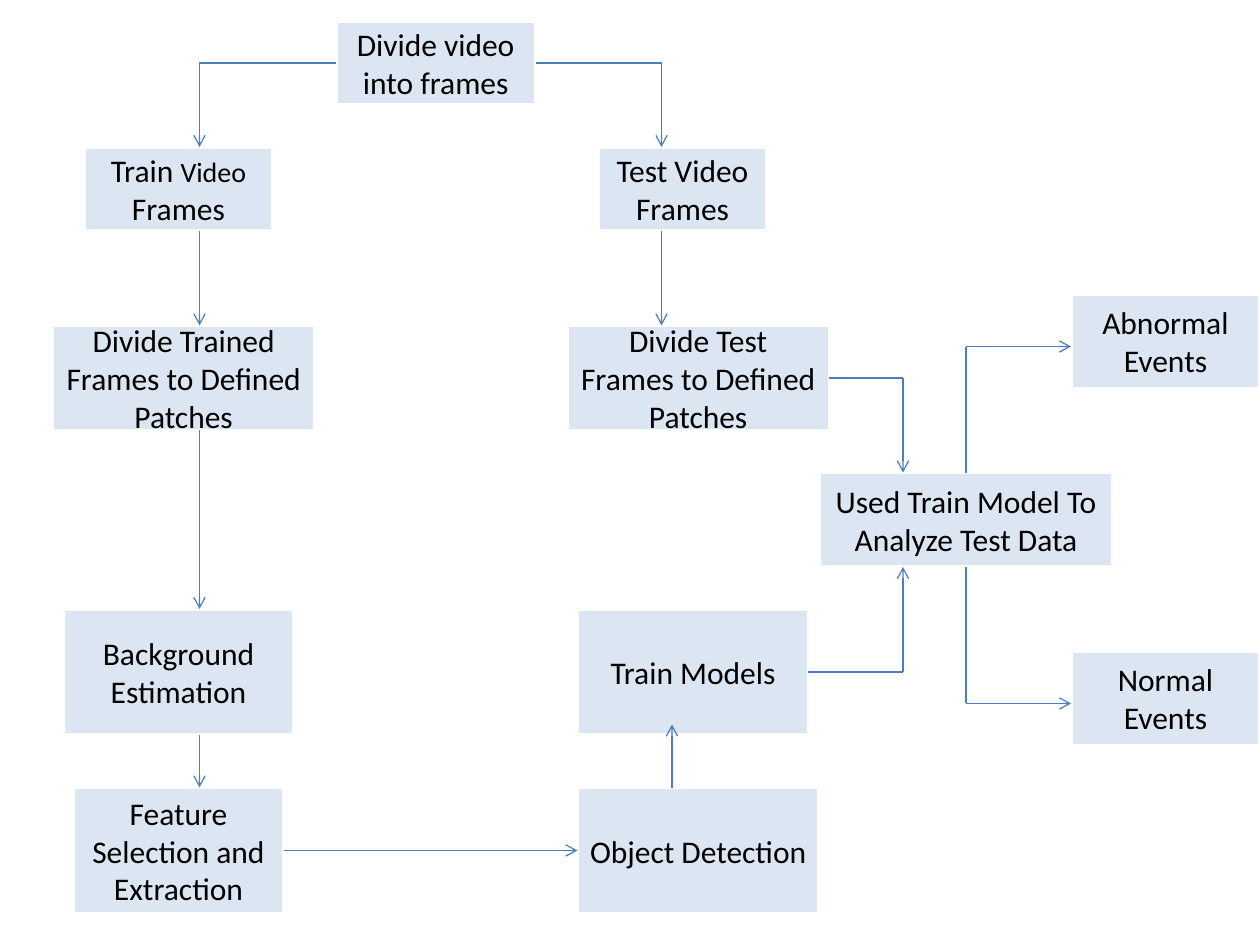
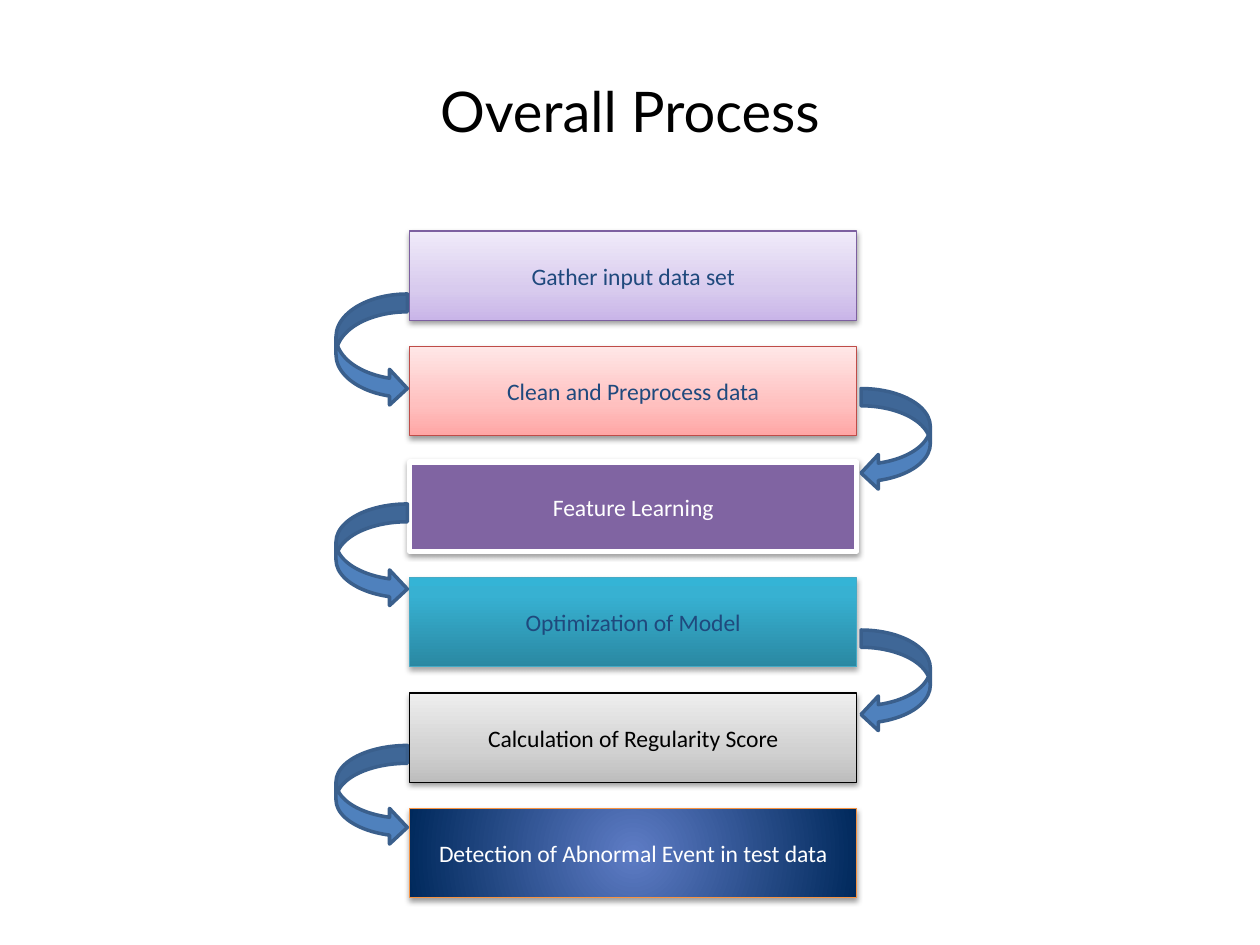
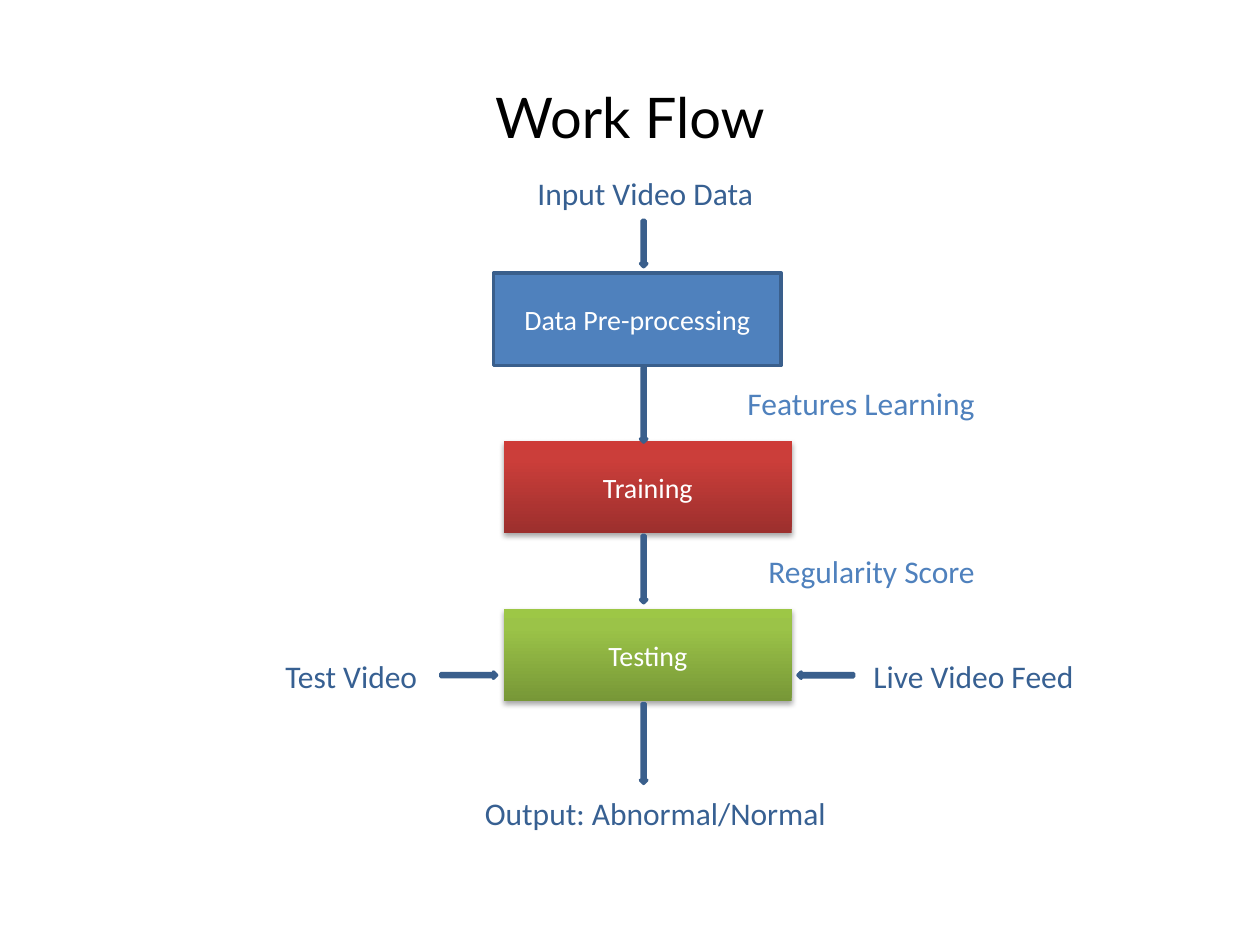
from lxml import etree
from pptx import Presentation
from pptx.dml.color import RGBColor
from pptx.enum.shapes import MSO_CONNECTOR, MSO_SHAPE
from pptx.enum.text import MSO_ANCHOR, MSO_AUTO_SIZE, PP_ALIGN
from pptx.oxml.ns import qn
from pptx.util import Inches, Pt

RECTANGLE = MSO_SHAPE.RECTANGLE
CURVED_LEFT = MSO_SHAPE.CURVED_LEFT_ARROW
CURVED_RIGHT = MSO_SHAPE.CURVED_RIGHT_ARROW
DOWN_ARROW = MSO_SHAPE.DOWN_ARROW
RIGHT_ARROW = MSO_SHAPE.RIGHT_ARROW
STRAIGHT = MSO_CONNECTOR.STRAIGHT
MIDDLE = MSO_ANCHOR.MIDDLE
GROW = MSO_AUTO_SIZE.SHAPE_TO_FIT_TEXT
LEFT, CENTER = PP_ALIGN.LEFT, PP_ALIGN.CENTER

BLACK = RGBColor(0x00, 0x00, 0x00)
WHITE = RGBColor(0xFF, 0xFF, 0xFF)
PALE_BLUE = RGBColor(0xDC, 0xE6, 0xF2)
LINE_BLUE = RGBColor(0x4B, 0x7E, 0xBC)
BLUE = RGBColor(0x4F, 0x81, 0xBD)
EDGE_BLUE = RGBColor(0x3A, 0x5F, 0x8C)
LABEL_BLUE = RGBColor(0x37, 0x60, 0x92)
NAVY = RGBColor(0x1F, 0x49, 0x7D)
PURPLE = RGBColor(0x80, 0x64, 0xA2)
PURPLE_EDGE = RGBColor(0x7D, 0x60, 0xA0)
RED_EDGE = RGBColor(0xBF, 0x4C, 0x48)
TEAL_EDGE = RGBColor(0x46, 0xAA, 0xC5)
ORANGE_EDGE = RGBColor(0xF6, 0x92, 0x40)

LILAC_BLEND = ((0, RGBColor(0xC9, 0xB5, 0xE8)), (35, RGBColor(0xD8, 0xCB, 0xEE)),
               (100, RGBColor(0xF0, 0xEA, 0xF9)))
PINK_BLEND = ((0, RGBColor(0xFF, 0xA6, 0xA5)), (35, RGBColor(0xFF, 0xC0, 0xBF)),
              (100, RGBColor(0xFF, 0xE7, 0xE7)))
TEAL_BLEND = ((0, RGBColor(0x2A, 0x88, 0xA2)), (80, RGBColor(0x37, 0xB1, 0xD2)),
              (100, RGBColor(0x34, 0xB4, 0xD6)))
GRAY_BLEND = ((0, RGBColor(0xBD, 0xBD, 0xBD)), (35, RGBColor(0xD1, 0xD1, 0xD1)),
              (100, RGBColor(0xEE, 0xEE, 0xEE)))
NAVY_BLEND = ((0, RGBColor(0x5E, 0x7C, 0xC5)), (100, RGBColor(0x00, 0x29, 0x5C)))
RED_BLEND = ((0, RGBColor(0x9C, 0x2F, 0x2D)), (80, RGBColor(0xCB, 0x3E, 0x3A)),
             (100, RGBColor(0xCE, 0x3B, 0x37)))
GREEN_BLEND = ((0, RGBColor(0x77, 0x97, 0x37)), (80, RGBColor(0x9B, 0xC3, 0x48)),
               (100, RGBColor(0x9D, 0xC7, 0x46)))

SOFT_SHADOW = (38, 1.6)
DEEP_SHADOW = (35, 1.8)
COLUMNS, ROWS = 120, 90
TITLE_ONLY, BLANK = 5, 6


def add_node(parent, tag, **attributes):
    values = {name: str(value) for name, value in attributes.items()}
    return etree.SubElement(parent, qn(tag), values)


def write(frame, text, size=18, color=BLACK, font="Calibri", align=CENTER):
    spans = [(text, size)] if isinstance(text, str) else text
    para = frame.paragraphs[0]
    para.alignment = align
    for words, points in spans:
        span = para.add_run()
        span.text = words
        span.font.size = Pt(points)
        span.font.name = font
        span.font.color.rgb = color


def blend(shape, stops, radial):
    shape.fill.gradient()
    gradient = shape._element.spPr.find(qn("a:gradFill"))
    gradient.clear()
    gradient.set("rotWithShape", "1")
    stop_list = add_node(gradient, "a:gsLst")
    for position, color in stops:
        stop = add_node(stop_list, "a:gs", pos=position * 1000)
        add_node(stop, "a:srgbClr", val=color)
    if radial:
        circle = add_node(gradient, "a:path", path="circle")
        add_node(circle, "a:fillToRect", l=50000, t=50000, r=50000, b=50000)
    else:
        add_node(gradient, "a:lin", ang=270 * 60000, scaled=0)


def cast_shadow(shape, opacity, distance):
    effects = shape._element.spPr.find(qn("a:effectLst"))
    outer = add_node(effects, "a:outerShdw", blurRad=Pt(3.1), dist=Pt(distance),
                     dir=90 * 60000, rotWithShape=0)
    color = add_node(outer, "a:srgbClr", val=BLACK)
    add_node(color, "a:alpha", val=opacity * 1000)


class Deck:
    def __init__(self):
        self.deck = Presentation()
        self.deck.slide_width = Inches(10)
        self.deck.slide_height = Inches(7.5)
        self.column = self.deck.slide_width / COLUMNS
        self.row = self.deck.slide_height / ROWS

    def page(self, layout):
        self.slide = self.deck.slides.add_slide(self.deck.slide_layouts[layout])
        self.shapes = self.slide.shapes
        self.joints = {}

    def place(self, left, top, width, height):
        return (round(left * self.column), round(top * self.row),
                round(width * self.column), round(height * self.row))

    def title(self, text, top):
        title = self.shapes.title
        title.left, title.top, title.width, title.height = self.place(6, top, 108, 15)
        title.text_frame.vertical_anchor = MIDDLE
        write(title.text_frame, text, size=32, font="Lato")

    def shape(self, kind, area, fill, line=None, weight=2, shadow=None, radial=False):
        shape = self.shapes.add_shape(kind, *self.place(*area))
        shape.shadow.inherit = False
        if isinstance(fill, RGBColor):
            shape.fill.solid()
            shape.fill.fore_color.rgb = fill
        else:
            blend(shape, fill, radial)
        if line is None:
            shape.line.fill.background()
        else:
            shape.line.color.rgb = line
            shape.line.width = Pt(weight)
        if shadow:
            cast_shadow(shape, *shadow)
        return shape

    def box(self, text, area, fill, size=18, color=BLACK, **look):
        box = self.shape(RECTANGLE, area, fill, **look)
        box.text_frame.word_wrap = True
        box.text_frame.vertical_anchor = MIDDLE
        write(box.text_frame, text, size=size, color=color)
        left, top, width, height = area
        center, middle = left + width / 2, top + height / 2
        sides = ((center, top), (left, middle), (center, top + height), (left + width, middle))
        for index, point in enumerate(sides):
            self.joints[point] = (box, index)

    def arrow(self, kind, area, turn=0):
        self.shape(kind, area, BLUE, line=EDGE_BLUE).rotation = turn

    def label(self, text, area, color=LABEL_BLUE, wrap=False):
        box = self.shapes.add_textbox(*self.place(*area))
        box.text_frame.word_wrap = wrap
        box.text_frame.auto_size = GROW
        write(box.text_frame, text, color=color, align=LEFT)

    def connect(self, start, end, head=True):
        ends = self.place(*start, *end)
        connector = self.shapes.add_connector(STRAIGHT, *ends)
        if start in self.joints:
            connector.begin_connect(*self.joints[start])
        if end in self.joints:
            connector.end_connect(*self.joints[end])
        connector.line.color.rgb = LINE_BLUE
        connector.line.width = Pt(0.75)
        properties = connector._element.spPr
        if head:
            add_node(properties.find(qn("a:ln")), "a:tailEnd", type="arrow")
        add_node(properties, "a:effectLst")

    def route(self, *points):
        for start, end in zip(points, points[1:]):
            self.connect(start, end, head=end == points[-1])


def build_pipeline(deck):
    deck.page(BLANK)
    steps = (
        ("Divide video into frames", (32, 2, 19, 8)),
        ((("Train ", 18), ("Video", 16), (" Frames", 18)), (8, 14, 18, 8)),
        ("Test Video Frames", (57, 14, 16, 8)),
        ("Divide Trained Frames to Defined Patches", (5, 31, 25, 10)),
        ("Background Estimation", (6, 58, 22, 12)),
        ("Feature Selection and Extraction", (7, 75, 20, 12)),
        ("Divide Test Frames to Defined Patches", (54, 31, 25, 10)),
        ("Object Detection", (55, 75, 23, 12)),
        ("Used Train Model To Analyze Test Data", (78, 45, 28, 9)),
        ("Train Models", (55, 58, 22, 12)),
        ("Abnormal Events", (102, 28, 18, 9)),
        ("Normal Events", (102, 62, 18, 9)),
    )
    for text, area in steps:
        deck.box(text, area, PALE_BLUE, line=WHITE)

    train, test, model, result = 19, 63, 86, 92
    routes = (
        ((32, 6), (train, 6), (train, 14)),
        ((51, 6), (test, 6), (test, 14)),
        ((train, 22), (train, 31)),
        ((train, 41), (train, 58)),
        ((train, 70), (train, 75)),
        ((test, 22), (test, 31)),
        ((79, 36), (model, 36), (model, 45)),
        ((77, 64), (model, 64), (model, 54)),
        ((27, 81), (55, 81)),
        ((64, 75), (64, 69)),
        ((result, 45), (result, 33), (102, 33)),
        ((result, 54), (result, 67), (102, 67)),
    )
    for points in routes:
        deck.route(*points)


def build_process(deck):
    deck.page(TITLE_ONLY)
    deck.title("Overall Process", 3)
    steps = (
        ("Gather input data set", LILAC_BLEND, NAVY, dict(line=PURPLE_EDGE)),
        ("Clean and Preprocess data", PINK_BLEND, NAVY, dict(line=RED_EDGE)),
        ("Feature Learning", PURPLE, WHITE, dict(line=WHITE, weight=3)),
        ("Optimization of Model", TEAL_BLEND, NAVY, dict(line=TEAL_EDGE, shadow=DEEP_SHADOW)),
        ("Calculation of Regularity Score", GRAY_BLEND, BLACK, dict(line=BLACK)),
        ("Detection of Abnormal Event in test data", NAVY_BLEND, WHITE,
         dict(line=ORANGE_EDGE, radial=True)),
    )
    for index, (text, fill, color, look) in enumerate(steps):
        look = dict(weight=0.75, shadow=SOFT_SHADOW) | look
        deck.box(text, (39, 22 + 11 * index, 42.6, 8.5), fill, size=13.5, color=color, **look)
    for top, height in ((28, 10.7), (48, 9.8), (71, 9.5)):
        deck.arrow(CURVED_RIGHT, (32, top, 6.8, height))
    for top in (37, 60):
        deck.arrow(CURVED_LEFT, (82, top, 6.6, 9.7))


def build_workflow(deck):
    deck.page(TITLE_ONLY)
    deck.title("Work Flow", 3.6)
    stages = (
        ("Data Pre-processing", 47, 26, BLUE, dict(line=EDGE_BLUE)),
        ("Training", 48, 42, RED_BLEND, dict(shadow=DEEP_SHADOW)),
        ("Testing", 48, 58, GREEN_BLEND, dict(shadow=DEEP_SHADOW)),
    )
    for text, left, top, fill, look in stages:
        deck.box(text, (left, top, 27.4, 8.8), fill, size=16, color=WHITE, **look)

    for top, height in ((21, 4.4), (35, 7.1), (51, 6.4), (67, 7.6)):
        deck.arrow(DOWN_ARROW, (61, top, 0.6, height))
    for left, turn in ((42, 0), (76, 180)):
        deck.arrow(RIGHT_ARROW, (left, 64, 5.3, 0.6), turn)

    deck.label("Input Video Data", (50, 16, 24.4, 4.7))
    deck.label("Features Learning", (70, 36, 25, 8.2), color=BLUE, wrap=True)
    deck.label("Regularity Score", (72, 52, 24.1, 4.7), color=BLUE)
    deck.label("Test Video", (26, 62, 16.4, 4.7))
    deck.label("Live Video Feed", (82, 62, 23.4, 4.7))
    deck.label("Output: Abnormal/Normal", (45, 75, 36.7, 4.7))


def main():
    deck = Deck()
    build_pipeline(deck)
    build_process(deck)
    build_workflow(deck)
    deck.deck.save("out.pptx")


if __name__ == "__main__":
    main()
